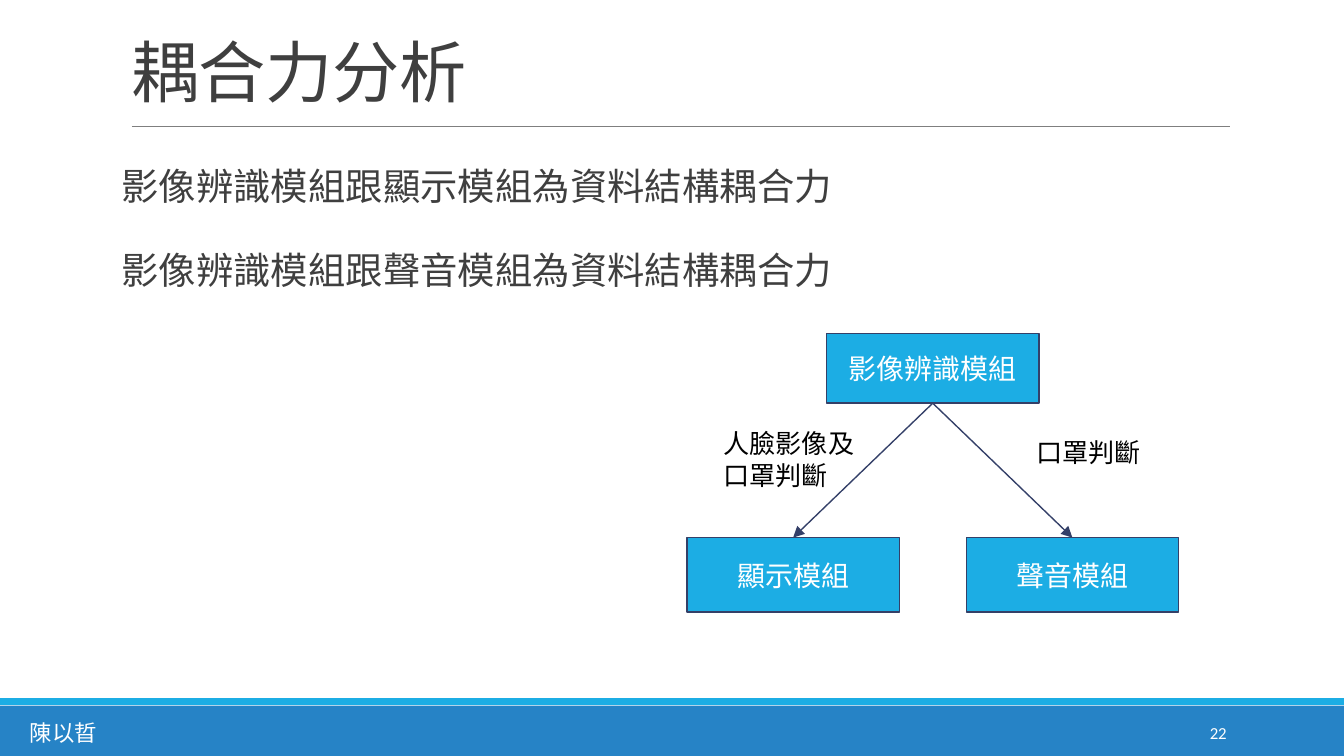
from lxml import etree
from pptx import Presentation
from pptx import util as u
from pptx.dml.color import RGBColor
from pptx.enum import shapes, text
from pptx.oxml import ns

Pt = u.Pt


def color(code):
    return RGBColor.from_string(code)


class Deck:
    font = "Calibri"
    dark, white, black = "3F3F3F", "FFFFFF", "000000"
    blue, sky, navy, gray = "2683C6", "1CADE4", "344068", "7F7F7F"

    def __init__(self, slide):
        self.slide = slide

    def letter(self, shape, lines, size, ink, inset, anchor, align):
        frame = shape.text_frame
        frame.word_wrap = True
        frame.vertical_anchor = anchor
        frame.margin_left = frame.margin_right = Pt(inset[0])
        frame.margin_top = frame.margin_bottom = Pt(inset[1])
        frame.text = lines
        for par in frame.paragraphs:
            par.alignment = align
            for run in par.runs:
                run.font.size = Pt(size)
                run.font.name = self.font
                run.font.color.rgb = color(ink)
        return frame

    def rect(self, x, y, w, h, fill, line=None):
        shape = self.slide.shapes.add_shape(
            shapes.MSO_SHAPE.RECTANGLE, Pt(x), Pt(y), Pt(w), Pt(h))
        shape.shadow.inherit = False
        shape.fill.solid()
        shape.fill.fore_color.rgb = color(fill)
        if line:
            shape.line.color.rgb = color(line)
            shape.line.width = Pt(0.75)
        else:
            shape.line.fill.background()
        return shape

    def module(self, name, mid, y, h, w=113.76):
        box = self.rect(mid - w / 2, y, w, h, self.sky, self.navy)
        self.letter(box, name, 15, self.white, (7.2, 7.2),
                    text.MSO_ANCHOR.MIDDLE, text.PP_ALIGN.CENTER)
        return box

    def label(self, lines, x, y, w, h, size, ink, inset=(7.2, 7.2),
              anchor=text.MSO_ANCHOR.TOP, align=text.PP_ALIGN.LEFT):
        box = self.slide.shapes.add_textbox(Pt(x), Pt(y), Pt(w), Pt(h))
        return self.letter(box, lines, size, ink, inset, anchor, align)

    def line(self, x1, y1, x2, y2, ink):
        link = self.slide.shapes.add_connector(
            shapes.MSO_CONNECTOR.STRAIGHT, Pt(x1), Pt(y1), Pt(x2), Pt(y2))
        link.line.color.rgb = color(ink)
        link.line.width = Pt(0.75)
        etree.SubElement(link._element.spPr, ns.qn("a:effectLst"))
        return link

    def arrow(self, start, end):
        link = self.line(0, 0, 0, 0, self.navy)
        link.begin_connect(start, 2)
        link.end_connect(end, 0)
        stroke = link._element.spPr.find(ns.qn("a:ln"))
        etree.SubElement(stroke, ns.qn("a:tailEnd")).set("type", "triangle")


def main():
    prs = Presentation()
    prs.slide_width, prs.slide_height = Pt(720), Pt(405)
    deck = Deck(prs.slides.add_slide(prs.slide_layouts[6]))
    mid = text.MSO_ANCHOR.MIDDLE
    pad = (5.2, 2.6)

    # Footer bands and title rule
    deck.rect(0, 378, 720, 27, deck.blue)
    deck.rect(0, 374, 720, 3.6, deck.sky)
    deck.line(70.7, 67.7, 659, 67.7, deck.gray)

    # Title and body
    title = deck.label("耦合力分析", 65, 9.4, 594, 53, 36, deck.dark, pad,
                       text.MSO_ANCHOR.BOTTOM)
    title.paragraphs[0].line_spacing = 0.85
    body = deck.label("影像辨識模組跟顯示模組為資料結構耦合力\n"
                      "影像辨識模組跟聲音模組為資料結構耦合力",
                      65, 72.7, 594, 273.6, 20, deck.dark, (0, 2.6))
    for par in body.paragraphs:
        par.line_spacing = 1.5
        par.space_before = Pt(9)

    # Module tree
    axis, step = 499.7, 74.8
    root = deck.module("影像辨識模組", axis, 178.8, 37.2)
    for name, side in (("顯示模組", -1), ("聲音模組", 1)):
        deck.arrow(root, deck.module(name, axis + side * step, 288, 40))

    # Data passed along the arrows
    deck.label("人臉影像及口罩判斷", 380.4, 222, 93, 48, 14, deck.black)
    deck.label("口罩判斷", 548, 226.8, 93, 32, 14, deck.black)

    # Footer text
    deck.label("22", 584.4, 381.6, 78, 21.6, 9, deck.white, pad, mid,
               text.PP_ALIGN.RIGHT)
    deck.label("陳以晢", 10.8, 381.6, 78, 21.6, 12, deck.white, pad, mid)

    prs.save("out.pptx")


if __name__ == "__main__":
    main()
